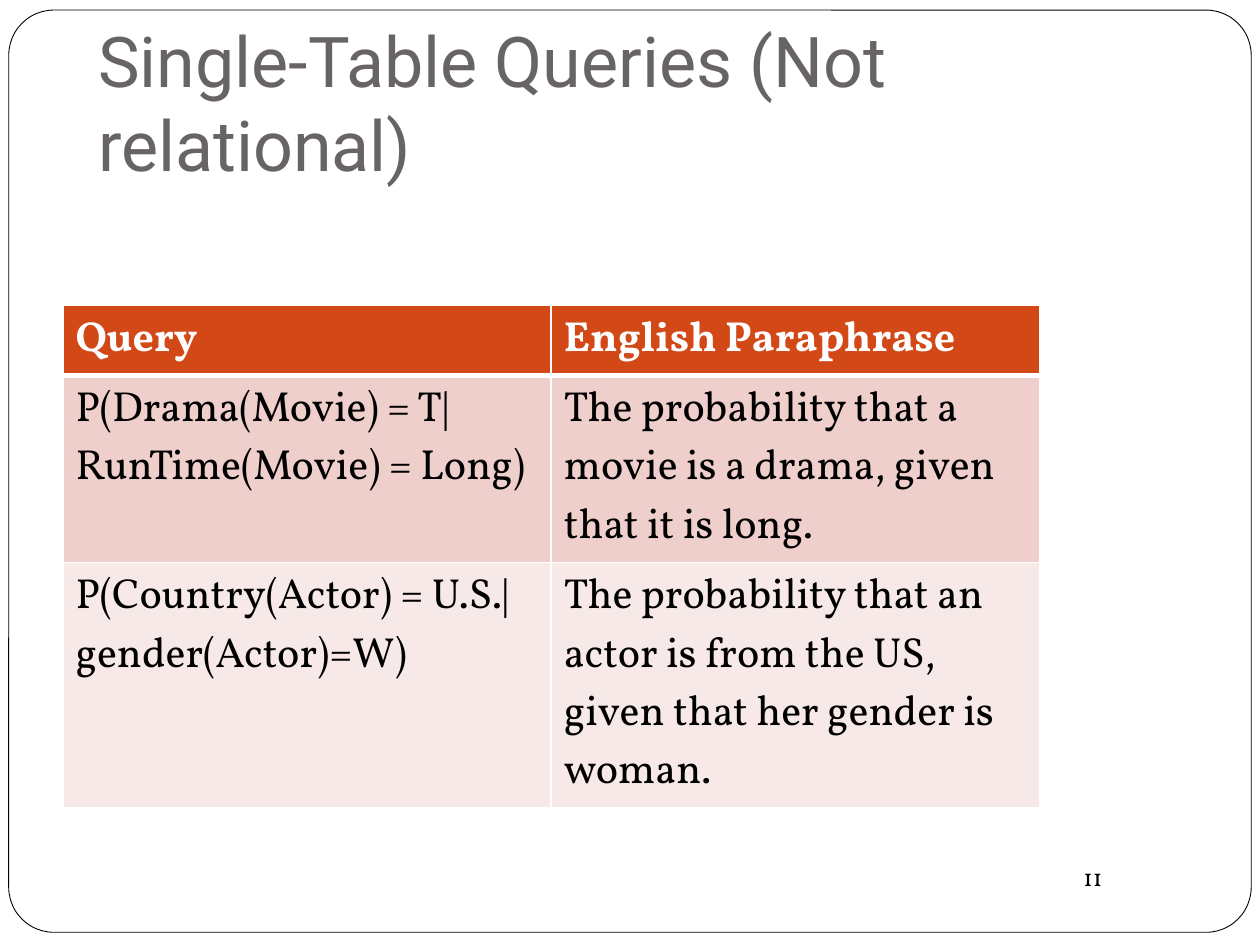
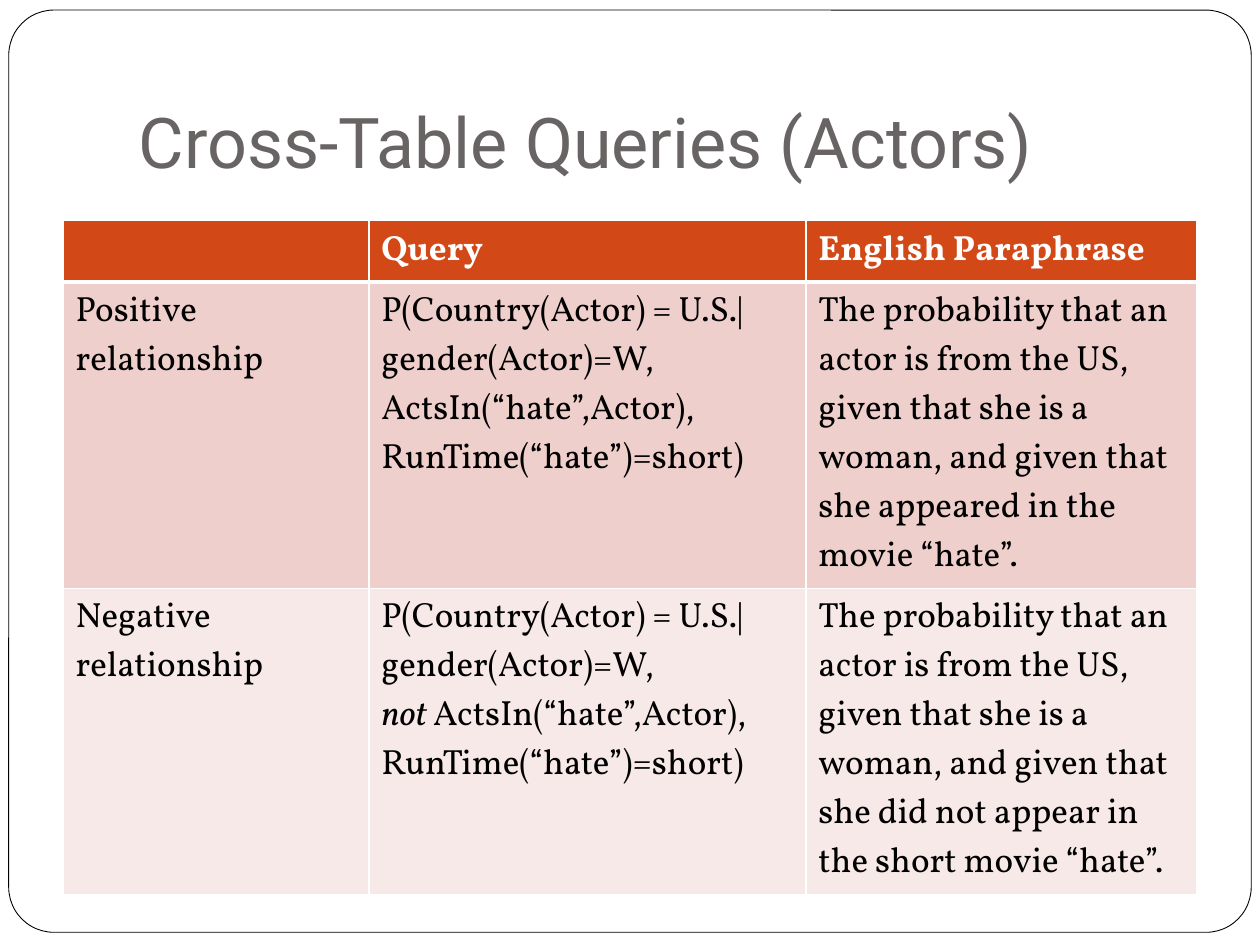
import pptx
import pptx.util
import pptx.dml.color
import pptx.enum.shapes
import pptx.enum.text
import pptx.oxml
import pptx.oxml.ns
from dataclasses import dataclass

Pt = pptx.util.Pt


@dataclass(frozen=True)
class Theme:
    heading_font: str = "Roboto"
    body_font: str = "Vollkorn"
    white: str = "FFFFFF"
    black: str = "000000"
    title: str = "696464"
    header: str = "D34817"
    bands: tuple = ("EFCFCC", "F7E9E8")
    title_size: int = 40
    number_size: int = 14
    rule: int = 1
    header_rule: int = 3


T = Theme()


def rgb(code):
    return pptx.dml.color.RGBColor.from_string(code)


def write(tf, text, size, font=T.body_font, color=T.black, bold=False):
    """Fill a frame: lines are paragraphs, *stars* enclose italics."""
    tf.word_wrap = True
    for i, line in enumerate(text.split("\n")):
        p = tf.paragraphs[0] if i == 0 else tf.add_paragraph()
        p.alignment = pptx.enum.text.PP_ALIGN.LEFT
        for j, part in enumerate(line.split("*")):
            if not part:
                continue
            r = p.add_run()
            r.text = part
            r.font.size, r.font.name = Pt(size), font
            r.font.bold, r.font.italic = bold, j % 2 == 1
            r.font.color.rgb = rgb(color)


def add_frame(s, box):
    """Rounded outline behind everything else."""
    sp = s.shapes.add_shape(
        pptx.enum.shapes.MSO_SHAPE.ROUNDED_RECTANGLE, *map(Pt, box))
    sp.adjustments[0] = 0.049
    sp.shadow.inherit = False
    sp.fill.solid()
    sp.fill.fore_color.rgb = rgb(T.white)
    sp.line.color.rgb = rgb(T.black)
    sp.line.width = Pt(0.5)
    s.shapes._spTree.insert(2, sp._element)


def add_title(s, box, text):
    sp = s.shapes.title
    sp.left, sp.top, sp.width, sp.height = map(Pt, box)
    tf = sp.text_frame
    tf.auto_size = pptx.enum.text.MSO_AUTO_SIZE.NONE
    tf.vertical_anchor = pptx.enum.text.MSO_ANCHOR.BOTTOM
    tf.margin_left = tf.margin_right = tf.margin_bottom = Pt(7.2)
    tf.margin_top = Pt(3.6)
    write(tf, text, T.title_size, T.heading_font, T.title)


def add_number(s, box, text):
    sp = s.shapes.add_textbox(*map(Pt, box))
    write(sp.text_frame, text, T.number_size)


def set_borders(cell, top, bottom):
    tcPr = cell._tc.get_or_add_tcPr()
    sides = {"lnL": T.rule, "lnR": T.rule, "lnT": top, "lnB": bottom}
    for side, width in sides.items():
        tcPr.append(pptx.oxml.parse_xml(
            f'<a:{side} {pptx.oxml.ns.nsdecls("a")} w="{Pt(width)}">'
            f'<a:solidFill><a:srgbClr val="{T.white}"/></a:solidFill>'
            f'</a:{side}>'))


def add_query_table(s, left, top, widths, heights, rows, size):
    """Orange header row over alternating pink rows."""
    table = s.shapes.add_table(
        len(rows), len(widths), Pt(left), Pt(top),
        Pt(sum(widths)), Pt(sum(heights))).table
    table.horz_banding = False
    for col, width in zip(table.columns, widths):
        col.width = Pt(width)
    for i, (row, height) in enumerate(zip(rows, heights)):
        table.rows[i].height = Pt(height)
        head = i == 0
        for j, text in enumerate(row):
            cell = table.cell(i, j)
            set_borders(cell, T.header_rule if i == 1 else T.rule,
                        T.header_rule if head else T.rule)
            cell.fill.solid()
            cell.fill.fore_color.rgb = rgb(
                T.header if head else T.bands[(i - 1) % 2])
            write(cell.text_frame, text, size, bold=head,
                  color=T.white if head else T.black)


def add_slide(prs, title, title_box, number=None):
    """Slide with the shared frame, title and page number."""
    s = prs.slides.add_slide(prs.slide_layouts[5])
    add_frame(s, (5, 5.75, 710, 527))
    add_title(s, title_box, title)
    if number:
        add_number(s, (612, 489, 72, 24.5), number)
    return s


prs = pptx.Presentation()
prs.slide_width, prs.slide_height = Pt(720), Pt(540)

# Queries on one table
s = add_slide(prs, "Single-Table Queries (Not relational)",
              (49, 23, 626, 90), "11")
add_query_table(s, 36, 174.5, (279, 279), (40, 107, 140), [
    ("Query", "English Paraphrase"),
    ("P(Drama(Movie) = T|RunTime(Movie) = Long)",
     "The probability that a movie is a drama, given that it is long."),
    ("P(Country(Actor) = U.S.|gender(Actor)=W)",
     "The probability that an actor is from the US, "
     "given that her gender is woman."),
], size=24)

# Queries across tables
s = add_slide(prs, "Cross-Table Queries (Actors)", (72, 21.6, 612, 90))
given = ("The probability that an actor is from the US, "
         "given that she is a woman, and given that she ")
add_query_table(s, 36, 126, (174.75, 249.75, 223.5), (35, 175, 175), [
    ("", "Query", "English Paraphrase"),
    ("Positive relationship",
     "P(Country(Actor) = U.S.|\n"
     "gender(Actor)=W, ActsIn(“hate”,Actor), RunTime(“hate”)=short)",
     given + "appeared in the movie “hate”."),
    ("Negative relationship",
     "P(Country(Actor) = U.S.|gender(Actor)=W,\n"
     "*not *ActsIn(“hate”,Actor),\nRunTime(“hate”)=short)",
     given + "did not appear in the short movie “hate”."),
], size=20)

prs.save("out.pptx")
